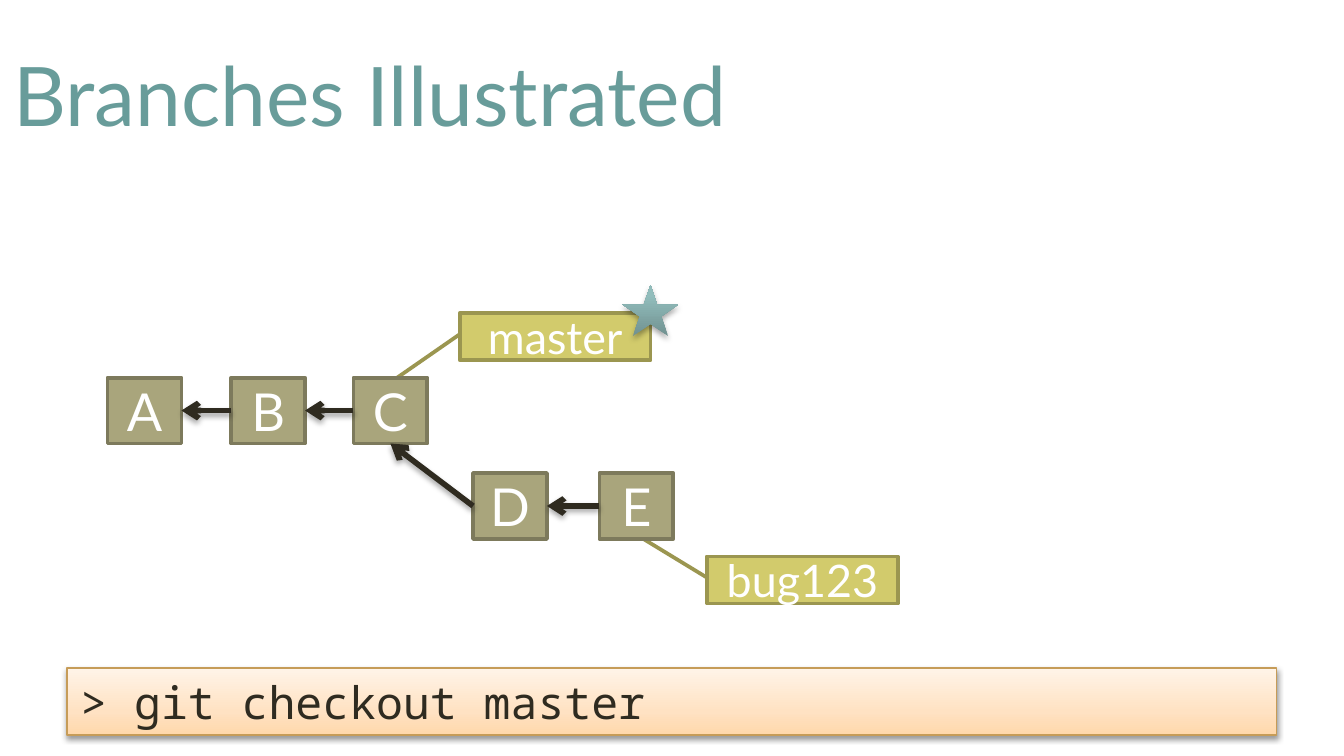
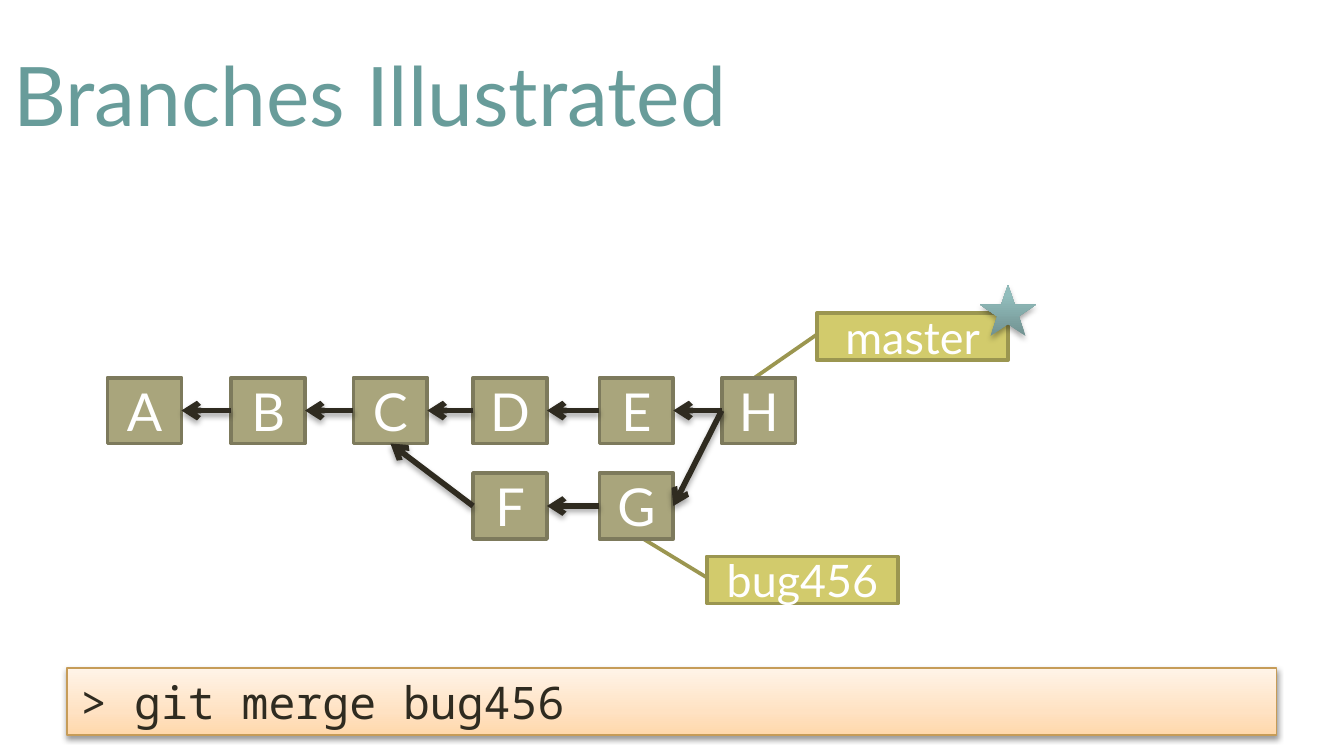
from dataclasses import dataclass

from lxml.etree import SubElement
from pptx import Presentation
from pptx.dml.color import RGBColor
from pptx.enum.shapes import MSO_CONNECTOR as Connector, MSO_SHAPE as Preset
from pptx.enum.text import MSO_ANCHOR as Anchor, MSO_AUTO_SIZE as AutoSize, PP_ALIGN as Align
from pptx.oxml.ns import qn
from pptx.util import Inches, Pt

WIDTH, HEIGHT = Inches(10), Inches(5.625)
UNIT = WIDTH / 100

BODY_FONT, CODE_FONT = "Lato", "Noto Sans Mono"
WHITE, INK, TEAL = "FFFFFF", "2F2B20", "689C9A"
COMMIT_FILL, COMMIT_LINE = "A9A57C", "7D7A5C"
TAG_FILL, TAG_LINE = "D2CB6C", "9B9650"
COMMAND_LINE = "C69C58"
COMMAND_STOPS = ((0, "FFD8AB"), (35, "FFE2C3"), (100, "FFF4E8"))
STAR_STOPS = ((0, "719291"), (80, "92BDBC"), (100, "92BFBD"))

COLUMNS = (8, 17.2, 26.3, 35.2, 44.6, 53.7)
ROWS = (28.1, 35.2)
COMMIT_WIDTH, COMMIT_HEIGHT = 5.5, 4.9
TAG_WIDTH, TAG_HEIGHT = 14.2, 3.5
STAR_WIDTH, STAR_HEIGHT = 4.2, 3.8
POINT_DOWN = (0.45, 0, 1.38, -0.33)
POINT_UP = (0.45, 0, -0.39, -0.34)


@dataclass(frozen=True)
class Commit:
    """A commit on the grid and the names of its parents."""

    name: str
    column: int
    row: int = 0
    parents: str = ""

    @property
    def left(self) -> float:
        return COLUMNS[self.column]

    @property
    def top(self) -> float:
        return ROWS[self.row]

    @property
    def middle(self) -> float:
        return self.top + COMMIT_HEIGHT / 2


@dataclass(frozen=True)
class Tag:
    """A branch label, its pointer and whether it is checked out."""

    text: str
    left: float
    top: float
    pointer: tuple
    current: bool = False


@dataclass(frozen=True)
class Stage:
    """One slide: the history, its branch labels and the command."""

    command: str
    commits: tuple
    tags: tuple


def units(*values: float) -> list:
    """Turn grid units into slide lengths."""
    return [round(value * UNIT) for value in values]


def colour(value: str) -> RGBColor:
    """Turn a hex string into a colour."""
    return RGBColor.from_string(value)


def write(box, text: str, *, size: float, ink: str = WHITE, font: str = BODY_FONT,
          align=Align.CENTER, anchor=Anchor.MIDDLE) -> None:
    """Write one formatted paragraph into a box."""
    frame = box.text_frame
    frame.word_wrap = True
    frame.vertical_anchor = anchor
    para = frame.paragraphs[0]
    para.alignment = align
    span = para.add_run()
    span.text = text
    span.font.name, span.font.size = font, Pt(size)
    span.font.color.rgb = colour(ink)


def add_effects(item, alpha: int = 0, distance: float = 1.8) -> None:
    """Replace the theme shadow by none, or by a soft one below."""
    effects = SubElement(item.element.spPr, qn("a:effectLst"))
    if alpha:
        shadow = SubElement(effects, qn("a:outerShdw"), blurRad=str(Pt(3.1)),
                            dist=str(Pt(distance)), dir="5400000", rotWithShape="0")
        black = SubElement(shadow, qn("a:srgbClr"), val="000000")
        SubElement(black, qn("a:alpha"), val=str(alpha * 1000))


def fill_gradient(box, stops: tuple) -> None:
    """Fill a box with colour stops that run from bottom to top."""
    box.fill.gradient()
    box.fill.gradient_angle = 90
    stop_list = box.element.spPr.find(qn("a:gradFill")).find(qn("a:gsLst"))
    for old in list(stop_list):
        stop_list.remove(old)
    for position, value in stops:
        stop = SubElement(stop_list, qn("a:gs"), pos=str(position * 1000))
        SubElement(stop, qn("a:srgbClr"), val=value)


def add_box(page, preset, place: tuple, *, fill: str = "", stops: tuple = (),
            line: str = "", weight: float = 2, alpha: int = 0, distance: float = 1.8):
    """Draw a preset shape with its fill, outline and shadow."""
    box = page.shapes.add_shape(preset, *units(*place))
    if stops:
        fill_gradient(box, stops)
    else:
        box.fill.solid()
        box.fill.fore_color.rgb = colour(fill)
    if line:
        box.line.color.rgb = colour(line)
        box.line.width = Pt(weight)
    else:
        box.line.fill.background()
    add_effects(box, alpha, distance)
    return box


def add_title(page, text: str) -> None:
    """Write the slide title."""
    box = page.shapes.add_textbox(*units(0, 2.3, 90, 9.4))
    write(box, text, size=44, ink=TEAL, align=Align.LEFT)


def add_command(page, text: str) -> None:
    """Draw the command band at the foot of the slide."""
    box = add_box(page, Preset.RECTANGLE, (5, 49.7, 90, 5), stops=COMMAND_STOPS,
                  line=COMMAND_LINE, weight=0.75, alpha=38, distance=1.6)
    write(box, text, size=24, ink=INK, font=CODE_FONT, align=Align.LEFT, anchor=Anchor.TOP)
    box.text_frame.auto_size = AutoSize.SHAPE_TO_FIT_TEXT


def add_tag(page, tag: Tag) -> None:
    """Draw a branch label that points at its commit."""
    box = add_box(page, Preset.LINE_CALLOUT_1, (tag.left, tag.top, TAG_WIDTH, TAG_HEIGHT),
                  fill=TAG_FILL, line=TAG_LINE)
    for index, value in enumerate(tag.pointer):
        box.adjustments[index] = value
    write(box, tag.text, size=24)


def add_star(page, tag: Tag) -> None:
    """Mark the checked-out branch at its top right corner."""
    place = (tag.left + TAG_WIDTH - STAR_WIDTH / 2, tag.top - 2.1, STAR_WIDTH, STAR_HEIGHT)
    add_box(page, Preset.STAR_5_POINT, place, stops=STAR_STOPS, alpha=35)


def add_commit(page, commit: Commit) -> None:
    """Draw a commit as a lettered square."""
    box = add_box(page, Preset.RECTANGLE,
                  (commit.left, commit.top, COMMIT_WIDTH, COMMIT_HEIGHT),
                  fill=COMMIT_FILL, line=COMMIT_LINE)
    write(box, commit.name, size=28)


def add_link(page, child: Commit, parent: Commit) -> None:
    """Draw an arrow from a commit to its parent."""
    if child.row > parent.row:
        end = (parent.left + COMMIT_WIDTH / 2, parent.top + COMMIT_HEIGHT)
    else:
        end = (parent.left + COMMIT_WIDTH, parent.middle)
    link = page.shapes.add_connector(Connector.STRAIGHT,
                                     *units(child.left, child.middle, *end))
    link.line.color.rgb = colour(INK)
    link.line.width = Pt(3)
    SubElement(link.line.fill and link.element.spPr.find(qn("a:ln")), qn("a:tailEnd"),
               type="arrow")
    add_effects(link, alpha=35)


def add_stage(deck, stage: Stage) -> None:
    """Build one slide of the branch history."""
    page = deck.slides.add_slide(deck.slide_layouts[6])
    add_title(page, "Branches Illustrated")
    for tag in stage.tags:
        add_tag(page, tag)
    add_command(page, stage.command)
    for commit in stage.commits:
        add_commit(page, commit)
    named = {commit.name: commit for commit in stage.commits}
    for commit in stage.commits:
        for parent in commit.parents:
            add_link(page, commit, named[parent])
    for tag in stage.tags:
        if tag.current:
            add_star(page, tag)


TRUNK = (Commit("A", 0), Commit("B", 1, parents="A"), Commit("C", 2, parents="B"))
STAGES = (
    Stage(
        "> git checkout master",
        TRUNK + (Commit("D", 3, 1, "C"), Commit("E", 4, 1, "D")),
        (Tag("master", 34.2, 23.3, POINT_DOWN, True), Tag("bug123", 52.6, 41.4, POINT_UP)),
    ),
    Stage(
        "> git merge bug456",
        TRUNK + (Commit("D", 3, 0, "C"), Commit("E", 4, 0, "D"), Commit("F", 3, 1, "C"),
                 Commit("G", 4, 1, "F"), Commit("H", 5, 0, "EG")),
        (Tag("master", 60.8, 23.3, POINT_DOWN, True), Tag("bug456", 52.6, 41.4, POINT_UP)),
    ),
)


def main() -> None:
    """Build the deck and save it."""
    deck = Presentation()
    deck.slide_width, deck.slide_height = WIDTH, HEIGHT
    for stage in STAGES:
        add_stage(deck, stage)
    deck.save("out.pptx")


main()
